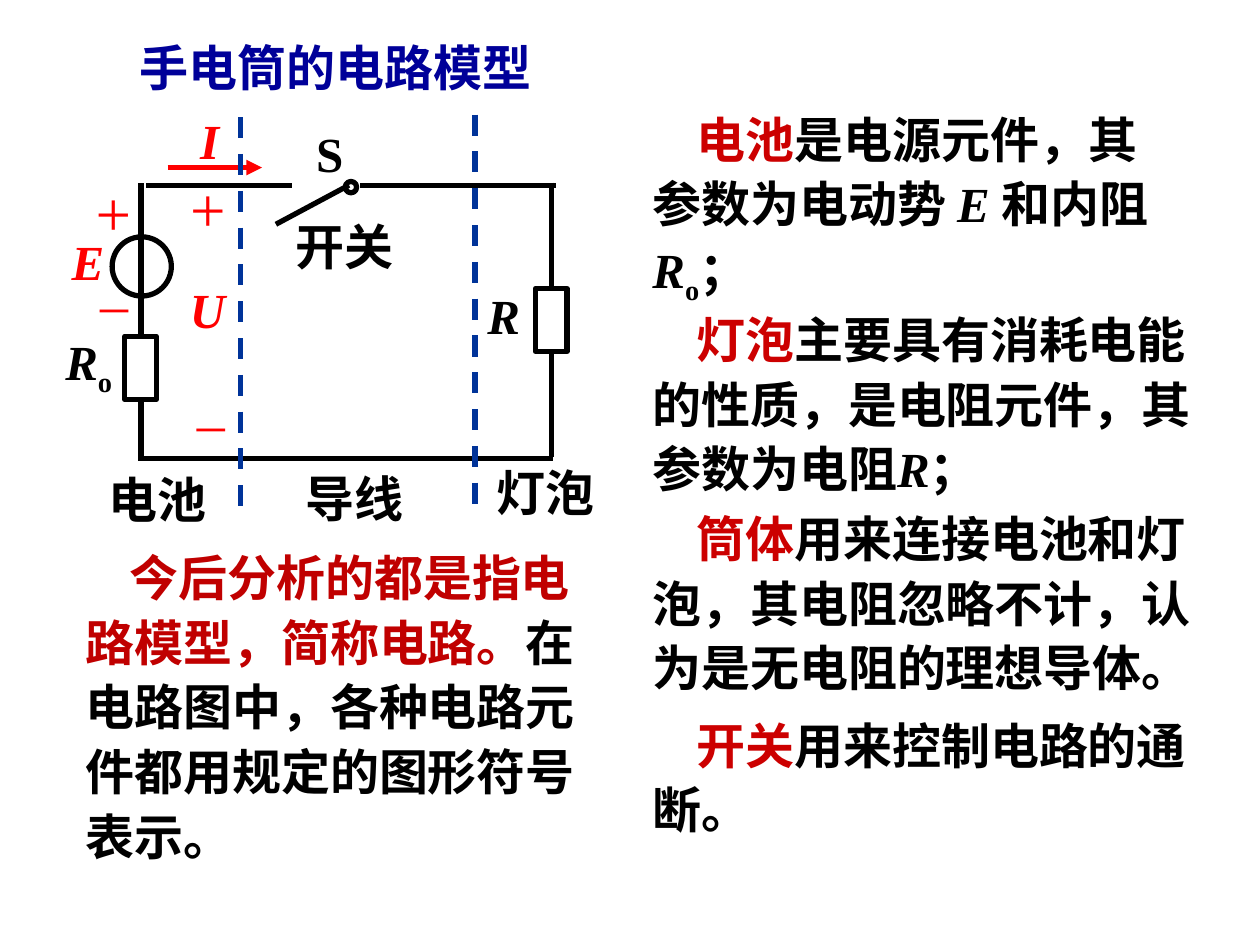
from pptx import Presentation
from pptx.dml.color import RGBColor
from pptx.enum.dml import MSO_LINE
from pptx.enum.shapes import MSO_CONNECTOR, MSO_SHAPE
from pptx.enum.text import MSO_AUTO_SIZE, PP_ALIGN
from pptx.oxml.ns import qn
from pptx.util import Inches, Pt
from lxml.etree import SubElement

COLORS = {"ink": "000000", "title": "000099", "signal": "FF0000",
          "term": "CC0000", "claim": "C00000", "divider": "003399"}
SERIF, SANS = "Times New Roman", "Noto Sans CJK SC"
COLUMNS, ROWS = 100, 75


def rgb(name):
    return RGBColor.from_string(COLORS[name])


def add_run(paragraph, text, size=28, color="ink", face=SERIF, bold=True,
            italic=False, subscript=False):
    run = paragraph.add_run()
    run.text = text
    font = run.font
    font.size, font.bold, font.italic, font.name = Pt(size), bold, italic, face
    font.color.rgb = rgb(color)
    properties = run._r.get_or_add_rPr()
    SubElement(properties, qn("a:ea")).set("typeface", SANS)
    if subscript:
        properties.set("baseline", "-25000")


class CircuitSlide:
    """Draws on a slide measured in COLUMNS by ROWS grid cells."""

    stroke = Pt(3)
    first_line = Inches(0.35)

    def __init__(self, deck):
        self.slide = deck.slides.add_slide(deck.slide_layouts[6])
        self.column = deck.slide_width / COLUMNS
        self.row = deck.slide_height / ROWS

    def cells(self, *lengths):
        """Turn alternating column and row counts into slide lengths."""
        units = (self.column, self.row)
        return [round(n * units[i % 2]) for i, n in enumerate(lengths)]

    def text(self, place, runs, align=PP_ALIGN.LEFT, spacing=None, indented=False):
        box = self.slide.shapes.add_textbox(*self.cells(*place))
        frame = box.text_frame
        frame.word_wrap = True
        frame.auto_size = MSO_AUTO_SIZE.SHAPE_TO_FIT_TEXT
        paragraph = frame.paragraphs[0]
        paragraph.alignment = align
        paragraph.line_spacing = spacing
        if indented:
            paragraph._p.get_or_add_pPr().set("indent", str(self.first_line))
        for words, style in runs:
            add_run(paragraph, words, **style)

    def label(self, place, words, spacing=None, **style):
        self.text(place, [(words, style)], spacing=spacing)

    def polarity(self, place, sign, size):
        style = {"size": size, "color": "signal", "bold": False}
        self.text(place, [(sign, style)], align=PP_ALIGN.CENTER)

    def passage(self, place, runs):
        self.text(place, runs, spacing=1.1, indented=True)

    def outline(self, kind, place):
        shape = self.slide.shapes.add_shape(kind, *self.cells(*place))
        shape.shadow.inherit = False
        shape.fill.background()
        shape.line.color.rgb = rgb("ink")
        shape.line.width = self.stroke

    def wire(self, start, end, color="ink", dashed=False, arrow=False):
        wire = self.slide.shapes.add_connector(
            MSO_CONNECTOR.STRAIGHT, *self.cells(*start, *end))
        wire.line.color.rgb = rgb(color)
        wire.line.width = self.stroke
        if dashed:
            wire.line.dash_style = MSO_LINE.DASH
        if arrow:
            SubElement(wire.line._get_or_add_ln(), qn("a:tailEnd")).set("type", "triangle")
        SubElement(wire._element.spPr, qn("a:effectLst"))


def draw_circuit(page):
    left, right, top, bottom = 11.2, 43.8, 14.7, 36.4
    page.outline(MSO_SHAPE.RECTANGLE, (42.5, 22.9, 2.5, 5))
    page.outline(MSO_SHAPE.OVAL, (8.9, 18.8, 4.7, 4.7))
    page.outline(MSO_SHAPE.RECTANGLE, (9.9, 26.7, 2.5, 5))
    for start, end in [
        ((left, 26.7), (left, 14.5)),
        ((left, 31.7), (left, 36.6)),
        ((11.1, bottom), (43.9, bottom)),
        ((right, 14.5), (right, 22.8)),
        ((right, 27.9), (right, 36.3)),
        ((11.6, top), (23.2, top)),
        ((28.6, top), (44.1, top)),
        ((21.9, 17.8), (27.7, top)),
    ]:
        page.wire(start, end)
    page.outline(MSO_SHAPE.OVAL, (27.4, 14.4, 0.9, 0.9))
    page.wire((13.3, 13.3), (20.8, 13.3), "signal", arrow=True)
    for x, y in ((19.1, 9.3), (37.7, 9.1)):
        page.wire((x, y), (x, y + 31.2), "divider", dashed=True)


def label_circuit(page):
    page.label((37.7, 22.2, 4.8, 5.7), "R", italic=True)
    page.label((24.1, 9.3, 5.9, 5.7), "S")
    for symbol, place in [("E", (4.7, 17.9, 4.8, 5.7)),
                          ("U", (14.1, 21.7, 5, 5.7)),
                          ("I", (14.9, 8.3, 6.7, 5.7))]:
        page.label(place, symbol, color="signal", italic=True)
    page.text((4.2, 25.8, 6.6, 6.3),
              [("R", {"italic": True}), ("o", {"subscript": True})])
    for x, y in ((6.6, 13.3), (14.1, 13)):
        page.polarity((x, y, 4.8, 7), "+", 36)
    for x, y in ((6.4, 20.8), (14.1, 30.3)):
        page.polarity((x, y, 5.3, 6.4), "–", 32)
    for part, x, y in [("电池", 7.6, 36.8), ("导线", 23.3, 36.7), ("开关", 22.5, 16.7)]:
        page.label((x, y, 10.2, 5.7), part)
    page.label((38.4, 37.5, 10.2, 4.3), "灯泡", spacing=0.7)


def explain_parts(page):
    term, symbol = {"color": "term"}, {"italic": True}
    page.passage((50.8, 7.7, 44.2, 17.1), [
        ("电池", term), ("是电源元件，其参数为电动势 ", {}), ("E ", symbol),
        ("和内阻", {}), ("R", symbol), ("o", {"subscript": True}), ("；", {})])
    page.passage((50.8, 23.6, 45, 16.4), [
        ("灯泡", term), ("主要具有消耗电能的性质，是电阻元件，其参数为电阻", {}),
        ("R", symbol), ("；", {})])
    page.passage((50.8, 39.4, 46.7, 16.4), [
        ("筒体", term),
        ("用来连接电池和灯泡，其电阻忽略不计，认为是无电阻的理想导体。", {})])
    page.passage((50.8, 55.8, 45, 11.3), [
        ("开关", term), ("用来控制电路的通断。", {})])
    page.passage((5.8, 42.5, 44.2, 26.7), [
        ("今后分析的都是指电路模型，简称电路。", {"color": "claim"}),
        ("在电路图中，各种电路元件都用规定的图形符号表示。", {})])


def main():
    deck = Presentation()
    deck.slide_width, deck.slide_height = Inches(10), Inches(7.5)
    page = CircuitSlide(deck)
    page.label((10.1, 2.5, 34, 5.7), "手电筒的电路模型", color="title", face=SANS)
    draw_circuit(page)
    label_circuit(page)
    explain_parts(page)
    deck.save("out.pptx")


if __name__ == "__main__":
    main()
